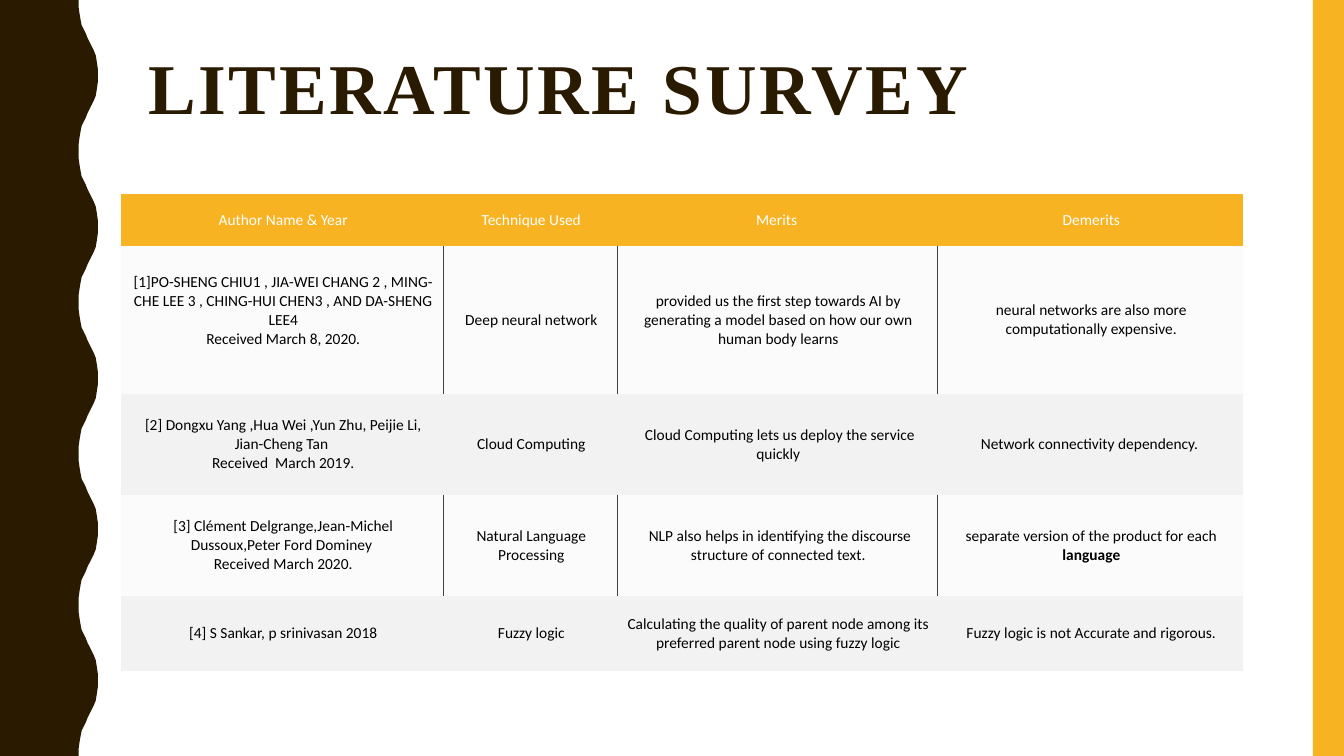
from lxml import etree
from pptx import Presentation
from pptx.dml.color import RGBColor
from pptx.enum.shapes import MSO_SHAPE
from pptx.enum.text import MSO_ANCHOR, PP_ALIGN
from pptx.oxml.ns import qn
from pptx.util import Inches, Pt

RECT = MSO_SHAPE.RECTANGLE
TOP, MIDDLE = MSO_ANCHOR.TOP, MSO_ANCHOR.MIDDLE
CENTER = PP_ALIGN.CENTER

BROWN, GOLD, GREY = "2A1A00", "F8B323", "F2F2F2"
RULE, BLACK, WHITE = "404040", "000000", "FFFFFF"
PLAIN_TABLE = "{2D5ABB26-0587-4C30-8999-92F81FD0307C}"

# One rising half of the wavy edge; the falling half mirrors it
WAVE_HEIGHT, WAVE_COUNT = 1.5, 5
RISE = [(0.78, 0), (0.78, 0.07), (0.79, 0.14), (0.8, 0.2), (0.81, 0.25),
        (0.83, 0.29), (0.85, 0.33), (0.87, 0.38), (0.89, 0.42), (0.91, 0.46),
        (0.93, 0.5), (0.95, 0.55), (0.96, 0.61), (0.97, 0.68), (0.97, 0.75)]

COLS = [3.2, 1.72, 3.18, 3.03]
ROWS = [0.52, 1.47, 1, 1, 0.75]
# A new line starts a paragraph; asterisks enclose bold text
SURVEY = [
    ["Author Name & Year", "Technique Used", "Merits ", "Demerits"],
    ["[1]PO-SHENG CHIU1 , JIA-WEI CHANG 2 , MING-CHE LEE 3 , "
     "CHING-HUI CHEN3 , AND DA-SHENG LEE4\nReceived March 8, 2020.",
     "Deep neural network",
     "provided us the first step towards AI by generating a model "
     "based on how our own human body learns",
     "neural networks are also more computationally expensive."],
    ["[2] Dongxu Yang ,Hua Wei ,Yun Zhu, Peijie Li, Jian-Cheng Tan \n"
     "Received  March 2019.",
     "Cloud Computing",
     " Cloud Computing lets us deploy the service quickly",
     "Network connectivity dependency. "],
    ["[3] Clément Delgrange,Jean-Michel Dussoux,Peter Ford Dominey \n"
     "Received March 2020.",
     "Natural Language Processing",
     " NLP also helps in identifying the discourse structure of "
     "connected text.",
     "separate version of the product for each *language*"],
    ["[4] S Sankar, p srinivasan 2018",
     "Fuzzy logic",
     "Calculating the quality of parent node among its preferred parent "
     "node using fuzzy logic",
     "Fuzzy logic is not Accurate and rigorous."],
]


def rgb(color):
    return RGBColor.from_string(color)


class SlideBuilder:
    title_font, body_font = "Times New Roman", "Calibri"
    title_size, body_size = 51, 11

    def __init__(self, slide):
        self.s = slide

    def paint(self, sp, color):
        sp.shadow.inherit = False
        sp.fill.solid()
        sp.fill.fore_color.rgb = rgb(color)
        sp.line.fill.background()

    def bar(self, x, y, w, h, color):
        sp = self.s.shapes.add_shape(RECT, Inches(x), Inches(y), Inches(w), Inches(h))
        self.paint(sp, color)

    def wavy_band(self, color):
        wave = RISE + [(x, WAVE_HEIGHT - y) for x, y in RISE[-2::-1]]
        edge = [(x, y + i * WAVE_HEIGHT) for i in range(WAVE_COUNT) for x, y in wave]
        points = edge + [(0, WAVE_COUNT * WAVE_HEIGHT)]
        fb = self.s.shapes.build_freeform(0, 0)
        fb.add_line_segments([(Inches(x), Inches(y)) for x, y in points], close=True)
        self.paint(fb.convert_to_shape(), color)

    def title(self, text, x, y, w, h):
        tf = self.s.shapes.add_textbox(Inches(x), Inches(y), Inches(w), Inches(h)).text_frame
        tf.word_wrap = True
        tf.vertical_anchor = TOP
        tf.margin_top = Inches(0.1)
        tf.text = text
        p = tf.paragraphs[0]
        p.line_spacing = 0.9
        r = p.runs[0]
        self.style(r, self.title_font, self.title_size, BROWN, True)
        r.font._element.set("spc", "200")

    def style(self, r, font, size, color, bold=False):
        r.font.name, r.font.size, r.font.bold = font, Pt(size), bold
        r.font.color.rgb = rgb(color)

    def border(self, cell, side, color, width):
        ln = etree.Element(qn("a:ln" + side), w=str(Pt(width)))
        fill = etree.SubElement(ln, qn("a:solidFill"))
        etree.SubElement(fill, qn("a:srgbClr"), val=color)
        cell._tc.get_or_add_tcPr().insert(0, ln)

    def cell(self, cell, text, fill, color, alpha=None):
        cell.vertical_anchor = MIDDLE
        cell.margin_left = Inches(0.1)
        cell.margin_right = cell.margin_top = cell.margin_bottom = Inches(0.08)
        cell.fill.solid()
        cell.fill.fore_color.rgb = rgb(fill)
        if alpha:
            clr = cell._tc.tcPr.find(".//" + qn("a:srgbClr"))
            etree.SubElement(clr, qn("a:alpha"), val=str(alpha * 1000))
        tf = cell.text_frame
        tf.text = text.replace("*", "")
        for p, line in zip(tf.paragraphs, text.split("\n")):
            p.alignment = CENTER
            plain, *bold = line.split("*")[:2]
            p.runs[0].text = plain
            self.style(p.runs[0], self.body_font, self.body_size, color)
            for part in bold:
                r = p.add_run()
                r.text = part
                self.style(r, self.body_font, self.body_size, color, True)

    def table(self, data, x, y, cols, rows):
        tbl = self.s.shapes.add_table(len(rows), len(cols), Inches(x), Inches(y),
                                      Inches(sum(cols)), Inches(sum(rows))).table
        tbl._tbl.tblPr.find(qn("a:tableStyleId")).text = PLAIN_TABLE
        tbl.first_row = tbl.horz_banding = False
        for col, w in zip(tbl.columns, cols):
            col.width = Inches(w)
        for i, (row, h) in enumerate(zip(tbl.rows, rows)):
            row.height = Inches(h)
            for j, cell in enumerate(row.cells):
                if i == 0:
                    self.cell(cell, data[i][j], GOLD, WHITE)
                elif i % 2 == 0:
                    self.cell(cell, data[i][j], GREY, BLACK)
                else:
                    self.cell(cell, data[i][j], GREY, BLACK, alpha=30)
                    if j < len(cols) - 1:
                        self.border(cell, "R", RULE, 0.5)
                    if j > 0:
                        self.border(cell, "L", RULE, 0.5)
        return tbl


def main():
    prs = Presentation()
    prs.slide_width, prs.slide_height = Inches(13.33), Inches(7.5)
    b = SlideBuilder(prs.slides.add_slide(prs.slide_layouts[6]))

    # Side decoration
    b.wavy_band(BROWN)
    b.bar(13.02, 0, 0.31, 7.5, GOLD)

    # Title
    b.title("LITERATURE SURVEY", 1.37, 0.42, 11.13, 1.63)

    # Survey table; the first entry sits a little above the middle
    tbl = b.table(SURVEY, 1.2, 1.92, COLS, ROWS)
    tbl.cell(1, 0).margin_bottom = Inches(0.27)

    prs.save("out.pptx")


if __name__ == "__main__":
    main()
